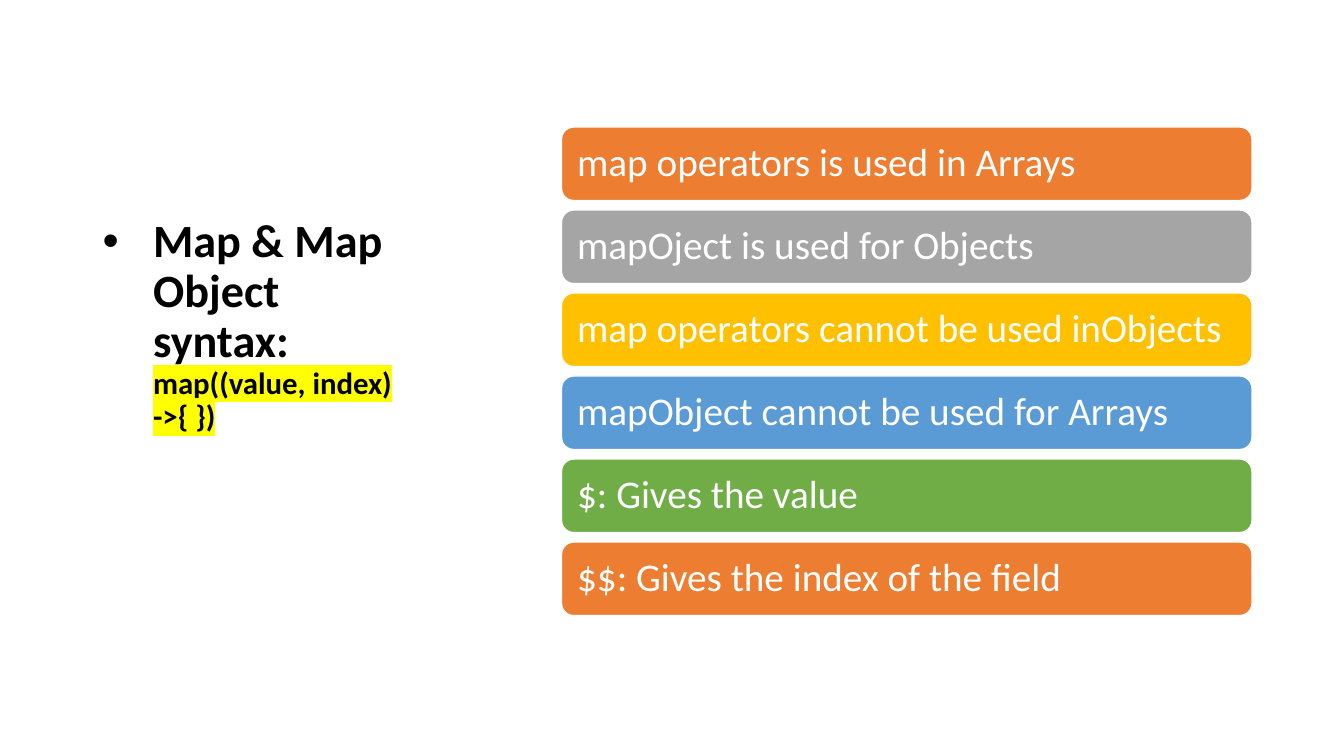
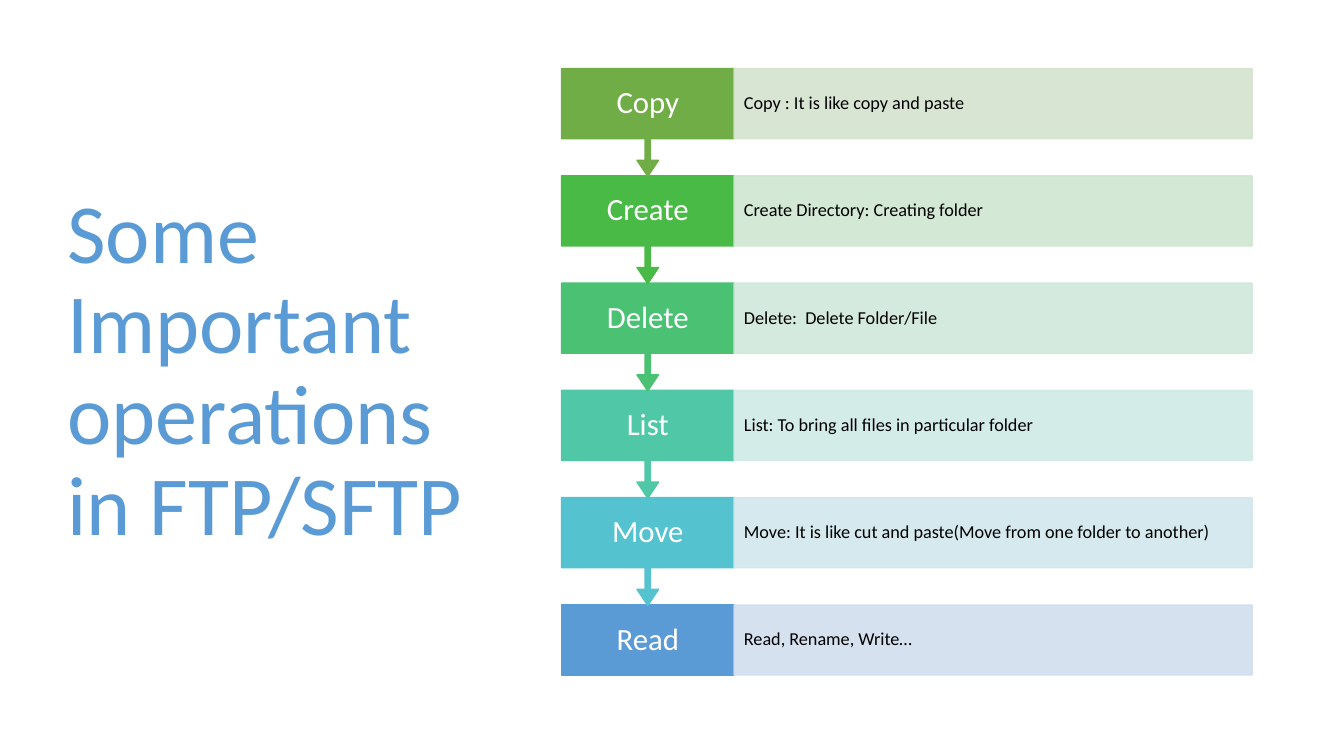
import dataclasses

import lxml.etree
import pptx
import pptx.dml.color
import pptx.enum.shapes
import pptx.enum.text
import pptx.oxml.ns
import pptx.util

SHAPE = pptx.enum.shapes.MSO_SHAPE
ALIGN = pptx.enum.text.PP_ALIGN
MIDDLE = pptx.enum.text.MSO_ANCHOR.MIDDLE


@dataclasses.dataclass(frozen=True)
class Theme:
    font: str = "Calibri"
    leading: float = 0.9
    # Colours
    black: str = "000000"
    white: str = "FFFFFF"
    marker: str = "FFFF00"
    orange: str = "ED7D31"
    grey: str = "A5A5A5"
    gold: str = "FFC000"
    blue: str = "5B9BD5"
    green: str = "70AD47"
    # Type sizes
    display: int = 60
    heading: int = 33
    bar: int = 28
    step: int = 22
    detail: int = 13


THEME = Theme()


class Deck:
    """Places elements on a grid of 100 columns by 100 rows."""

    def __init__(self):
        self.prs = pptx.Presentation()
        self.prs.slide_width = pptx.util.Inches(13.33)
        self.prs.slide_height = pptx.util.Inches(7.5)
        self.slide = None

    def new_slide(self):
        self.slide = self.prs.slides.add_slide(self.prs.slide_layouts[6])

    def box(self, left, top, width, height):
        column, row = self.prs.slide_width / 100, self.prs.slide_height / 100
        return [round(n) for n in
                (left * column, top * row, width * column, height * row)]

    def element(self, parent, tag, **attributes):
        child = lxml.etree.SubElement(parent, pptx.oxml.ns.qn(tag))
        for key, value in attributes.items():
            child.set(key, str(value))
        return child

    def set_text(self, frame, text, size, color, bold=False, align=ALIGN.LEFT):
        frame.word_wrap = True
        frame.vertical_anchor = MIDDLE
        paragraph = frame.paragraphs[0]
        paragraph.text = text
        paragraph.alignment = align
        paragraph.line_spacing = THEME.leading
        for run in paragraph.runs:
            run.font.name = THEME.font
            run.font.size = pptx.util.Pt(size)
            run.font.bold = bold
            run.font.color.rgb = pptx.dml.color.RGBColor.from_string(color)
        return paragraph

    def title(self, place, text, size, color, bold=False):
        frame = self.slide.shapes.add_textbox(*self.box(*place)).text_frame
        self.set_text(frame, text, size, color, bold)
        return frame

    def bullet(self, paragraph, indent):
        props = paragraph._p.get_or_add_pPr()
        props.set("marL", str(pptx.util.Inches(indent)))
        props.set("indent", str(-pptx.util.Inches(indent)))
        self.element(props, "a:buFont", typeface="Arial")
        self.element(props, "a:buChar", char="•")

    def highlight(self, run, color):
        props = run._r.get_or_add_rPr()
        mark = self.element(props, "a:highlight")
        self.element(mark, "a:srgbClr", val=color)
        props.find(pptx.oxml.ns.qn("a:solidFill")).addnext(mark)

    def panel(self, kind, place, fill, text, size, color=THEME.white,
              line=None, align=ALIGN.LEFT, inset=0.12, opacity=100):
        shape = self.slide.shapes.add_shape(kind, *self.box(*place))
        shape.shadow.inherit = False
        shape.line.width = pptx.util.Pt(1)
        shape.line.fill.solid()
        shape.fill.solid()
        for paint, tone in ((shape.fill, fill), (shape.line.fill, line or fill)):
            paint.fore_color.rgb = pptx.dml.color.RGBColor.from_string(tone)
        if opacity < 100:
            for tone in list(shape._element.spPr.iter(pptx.oxml.ns.qn("a:srgbClr"))):
                self.element(tone, "a:alpha", val=opacity * 1000)
        frame = shape.text_frame
        frame.margin_left = frame.margin_right = pptx.util.Inches(inset)
        frame.margin_top = frame.margin_bottom = 0
        self.set_text(frame, text, size, color, align=align)
        return shape


def map_slide(deck):
    deck.new_slide()

    # Heading with the syntax marked, set above the middle of its box
    heading = deck.title(
        (6.9, 8.13, 27.7, 81.2),
        "Map & Map Object\vsyntax:\vmap((value, index) ->{ })",
        THEME.heading, THEME.black, bold=True)
    heading.margin_bottom = pptx.util.Inches(0.89)
    syntax = heading.paragraphs[0]
    deck.bullet(syntax, 0.5)
    code = syntax.runs[-1]
    code.font.size = pptx.util.Pt(THEME.step)
    deck.highlight(code, THEME.marker)

    # Rule bars
    rules = (
        ("map operators is used in Arrays", THEME.orange),
        ("mapOject is used for Objects", THEME.grey),
        ("map operators cannot be used inObjects", THEME.gold),
        ("mapObject cannot be used for Arrays", THEME.blue),
        ("$: Gives the value", THEME.green),
        ("$$: Gives the index of the field", THEME.orange),
    )
    top, pitch = 16.8, 10.98
    for index, (rule, color) in enumerate(rules):
        deck.panel(SHAPE.ROUNDED_RECTANGLE,
                   (41.78, top + index * pitch, 51.38, 9.73),
                   color, rule, THEME.bar, line=THEME.white)


def operations_slide(deck):
    deck.new_slide()
    deck.title((4.28, 9.07, 31.2, 80.27), "Some Important operations in FTP/SFTP",
               THEME.display, THEME.blue)

    # Steps: name, detail, strong and pale colour
    steps = (
        ("Copy", "Copy : It is like copy and paste", THEME.green, "D5E3CF"),
        ("Create", "Create Directory: Creating folder", "4ABA46", "CFE6D1"),
        ("Delete", "Delete:  Delete Folder/File", "4BC174", "D0E8DB"),
        ("List", "List: To bring all files in particular folder", "50C8A7", "D0EBE6"),
        ("Move", "Move: It is like cut and paste(Move from one folder to another)",
         "55C3CF", "D1E7ED"),
        ("Read", "Read, Rename, Write…", THEME.blue, "D2DEEF"),
    )
    left, top, pitch = 41.78, 9.07, 14.19
    name_width, detail_width = 12.84, 38.55
    callout_height, body_share = 14.27, 0.65
    body_height = callout_height * body_share

    # Drawn from the last step up, so each arrow tip lies over the next step
    for index, (name, detail, strong, pale) in reversed(list(enumerate(steps))):
        y = top + index * pitch
        last = index == len(steps) - 1
        kind = SHAPE.RECTANGLE if last else SHAPE.DOWN_ARROW_CALLOUT
        height = body_height if last else callout_height
        step = deck.panel(kind, (left, y, name_width, height), strong, name,
                          THEME.step, align=ALIGN.CENTER)
        if not last:
            for spot, share in enumerate((0.05, 0.1, 0.15, body_share)):
                step.adjustments[spot] = share
        deck.panel(SHAPE.RECTANGLE,
                   (left + name_width, y, detail_width, body_height),
                   pale, detail, THEME.detail, THEME.black, inset=0.1, opacity=90)


def main():
    deck = Deck()
    map_slide(deck)
    operations_slide(deck)
    deck.prs.save("out.pptx")


if __name__ == "__main__":
    main()
